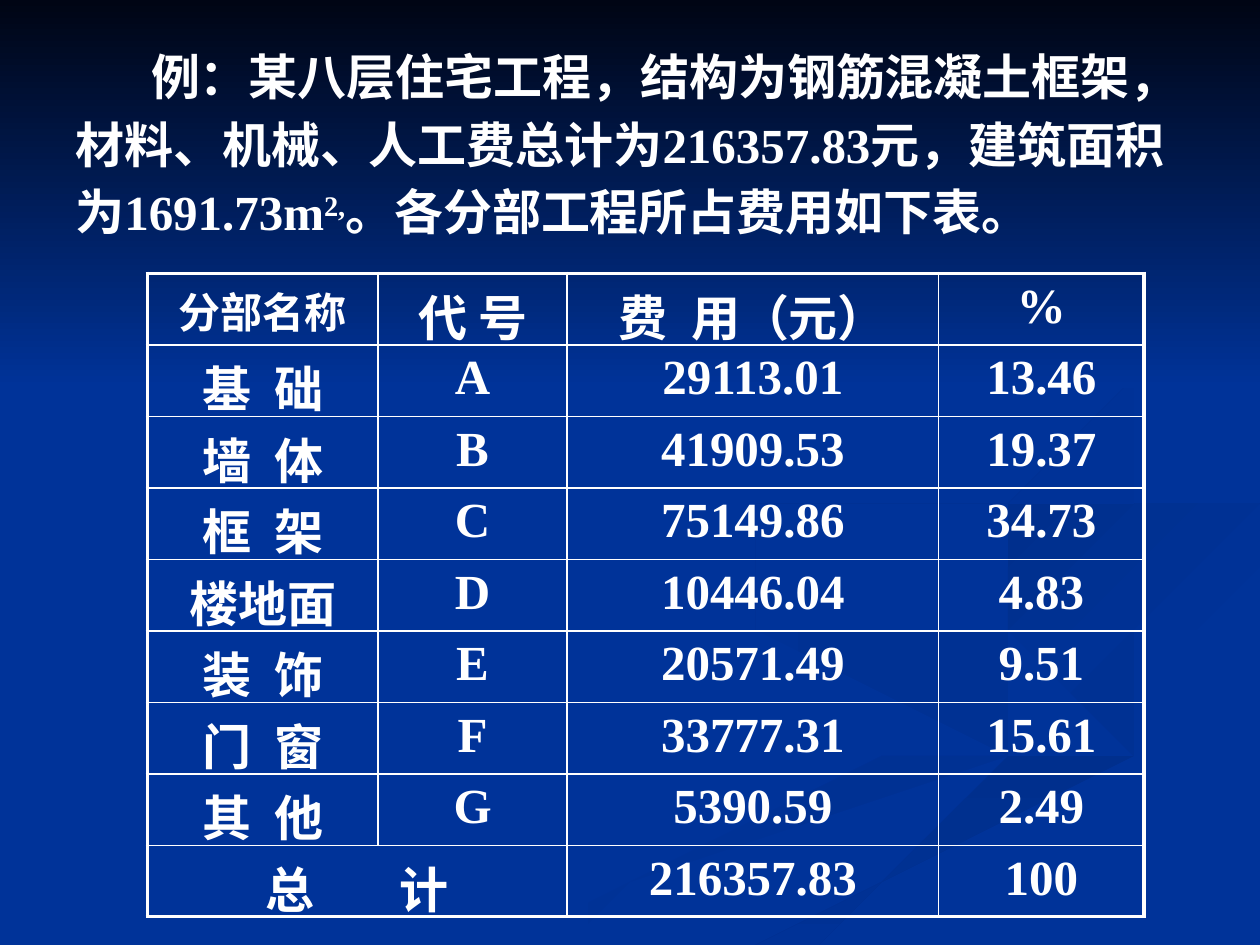
from lxml import etree
from pptx import Presentation
from pptx.dml.color import RGBColor
from pptx.enum.shapes import MSO_SHAPE as Preset
from pptx.enum.text import PP_ALIGN as Align
from pptx.oxml.ns import qn
from pptx.util import Inches, Pt

BLUE = RGBColor(0x00, 0x33, 0x99)
NIGHT = RGBColor(0x00, 0x05, 0x14)
SHADE = RGBColor(0x00, 0x31, 0x93)
DEEP_SHADE = RGBColor(0x00, 0x2F, 0x8D)
WHITE = RGBColor(0xFF, 0xFF, 0xFF)
FONT = "Times New Roman"

# Background ribbons: start colour, end colour, angle, outline in inches
RIBBONS = [
    (BLUE, SHADE, 0, [
        (7.8, 5.5), (6.4, 5.1), (5.7, 4.6), (5.9, 4.9), (7.5, 5.4), (7.9, 5.7),
        (7.1, 6.1), (4.6, 6.7), (3, 7.5), (3.6, 7.5), (5, 6.9), (7.6, 6.1), (8, 5.8)]),
    (BLUE, SHADE, 45, [
        (9.4, 5.7), (9, 5.4), (7.6, 5), (7.2, 4.6), (7.5, 5), (8.5, 5.4),
        (9.2, 5.8), (8.9, 6), (9.4, 5.9)]),
    (DEEP_SHADE, BLUE, 90, [
        (5, 7.5), (5.7, 7.5), (7, 6.9), (8.2, 6.5), (10, 6.1), (10, 5.8),
        (9, 6.1), (7, 6.7)]),
    (DEEP_SHADE, BLUE, 45, [
        (7.8, 4.6), (8.3, 5), (8, 4.7), (8.4, 4.5), (10, 4.2), (10, 4), (8.3, 4.3)]),
    (DEEP_SHADE, BLUE, 45, [
        (6.8, 4.3), (8.2, 4), (8.8, 3.7), (8.9, 3.3), (8.5, 2.8), (7.6, 2.3),
        (8.6, 2.9), (8.9, 3.4), (8.4, 3.8), (6.2, 4.3), (5.8, 4.6), (6.2, 5),
        (5.9, 4.7), (6.2, 4.4)]),
]

INTRO = [
    ("例：某八层住宅工程，结构为钢筋混凝土框架，材料、机械、人工费总计为216357.83元，"
     "建筑面积为1691.73m", 0),
    ("2,", 30),
    ("。各分部工程所占费用如下表。", 0),
]

ROWS = [
    ("分部名称", "代 号", "费 用（元）", "%"),
    ("基 础", "A", "29113.01", "13.46"),
    ("墙 体", "B", "41909.53", "19.37"),
    ("框 架", "C", "75149.86", "34.73"),
    ("楼地面", "D", "10446.04", "4.83"),
    ("装 饰", "E", "20571.49", "9.51"),
    ("门 窗", "F", "33777.31", "15.61"),
    ("其 他", "G", "5390.59", "2.49"),
    ("总 计", "", "216357.83", "100"),
]
COLUMN_WIDTHS = [1.83, 1.5, 2.95, 1.63]
# Points added to the space inside a label
EXTRA_GAPS = {"代 号": 0, "总 计": 42}
DEFAULT_GAP = 7


def add_run(paragraph, text, size=28, **attributes):
    run = paragraph.add_run()
    run.text = text
    run.font.name = FONT
    run.font.size = Pt(size)
    run.font.bold = True
    run.font.color.rgb = WHITE
    for name, value in attributes.items():
        run.font._element.set(name, str(value))


def paint_gradient(shape, start, end, angle):
    shape.shadow.inherit = False
    shape.line.fill.background()
    shape.fill.gradient()
    shape.fill.gradient_angle = (360 - angle) % 360
    for stop, color in zip(shape.fill.gradient_stops, (start, end)):
        stop.color.rgb = color


presentation = Presentation()
presentation.slide_width = Inches(10)
presentation.slide_height = Inches(7.5)
slide = presentation.slides.add_slide(presentation.slide_layouts[6])
slide.background.fill.solid()
slide.background.fill.fore_color.rgb = BLUE

# Background ribbons
for start, end, angle, points in RIBBONS:
    builder = slide.shapes.build_freeform(*points[0], scale=Inches(1))
    builder.add_line_segments(points[1:], close=True)
    paint_gradient(builder.convert_to_shape(), start, end, angle)

# Dark sky across the top
sky = slide.shapes.add_shape(Preset.RECTANGLE, 0, 0, Inches(10), Inches(3.08))
paint_gradient(sky, NIGHT, BLUE, 90)

# Introduction
text_box = slide.shapes.add_textbox(Inches(0.5), Inches(0.25), Inches(9.08), Inches(1.71))
text_box.text_frame.word_wrap = True
paragraph = text_box.text_frame.paragraphs[0]
paragraph.line_spacing = 1.15
paragraph._p.get_or_add_pPr().set("indent", str(Inches(0.6)))
for text, baseline in INTRO:
    add_run(paragraph, text, baseline=baseline * 1000)

# Cost table
last_row, last_column = len(ROWS) - 1, len(COLUMN_WIDTHS) - 1
table = slide.shapes.add_table(len(ROWS), len(COLUMN_WIDTHS), Inches(1.17), Inches(2.17),
                               Inches(7.91), Inches(5.1)).table
table.first_row = table.horz_banding = False
for column, width in zip(table.columns, COLUMN_WIDTHS):
    column.width = Inches(width)
for row in table.rows:
    row.height = Inches(5.1 / len(ROWS))
table.cell(last_row, 0).merge(table.cell(last_row, 1))

for row_index, labels in enumerate(ROWS):
    for column_index, label in enumerate(labels):
        cell = table.cell(row_index, column_index)
        cell.fill.background()

        # White grid with a heavier outer frame
        outer_sides = {
            "lnL": column_index == 0,
            "lnR": column_index == last_column,
            "lnT": row_index == 0,
            "lnB": row_index == last_row,
        }
        for position, (side, is_outer) in enumerate(outer_sides.items()):
            line = etree.Element(qn(f"a:{side}"), w=str(Pt(2.25 if is_outer else 1)))
            line_fill = etree.SubElement(line, qn("a:solidFill"))
            etree.SubElement(line_fill, qn("a:srgbClr"), val=str(WHITE))
            cell._tc.get_or_add_tcPr().insert(position, line)

        if cell.is_spanned:
            continue
        paragraph = cell.text_frame.paragraphs[0]
        paragraph.alignment = Align.CENTER
        first, space, rest = label.partition(" ")
        add_run(paragraph, first, 24 if label == "分部名称" else 28)
        if space:
            add_run(paragraph, space, spc=EXTRA_GAPS.get(label, DEFAULT_GAP) * 100)
            add_run(paragraph, rest)

presentation.save("out.pptx")
